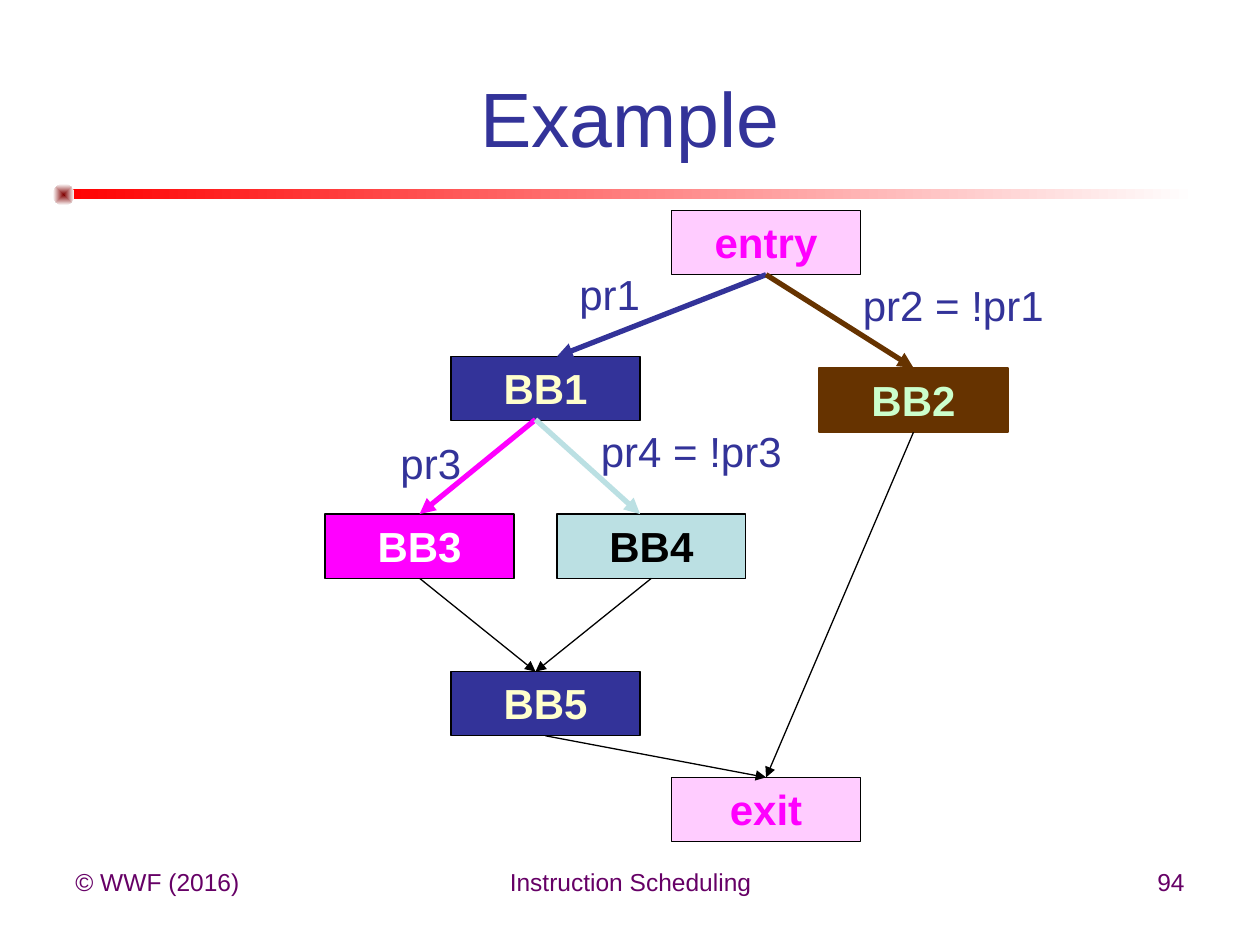
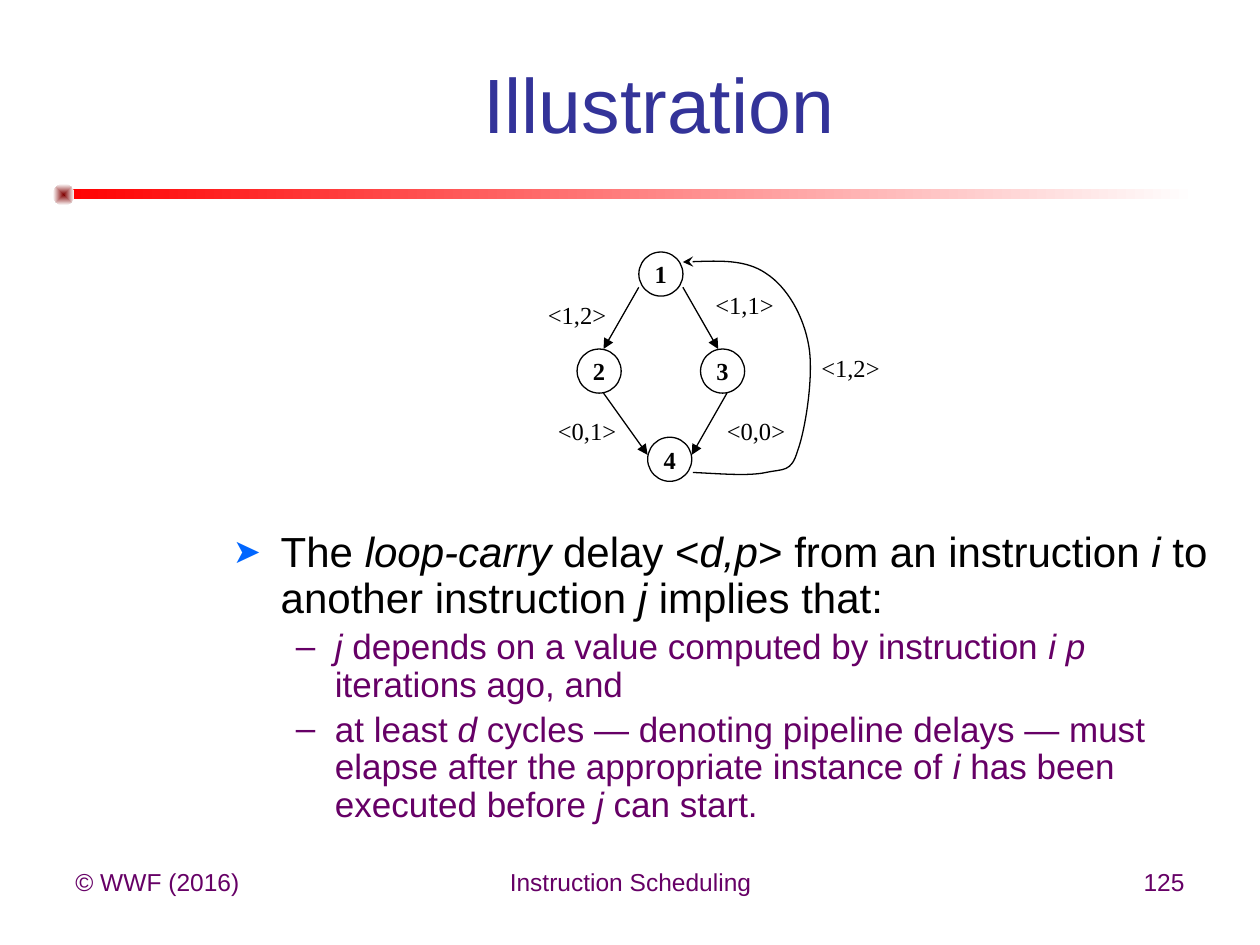
from lxml import etree
from pptx import Presentation
from pptx.dml.color import RGBColor
from pptx.enum.shapes import MSO_CONNECTOR, MSO_SHAPE
from pptx.enum.text import MSO_ANCHOR, PP_ALIGN
from pptx.oxml.ns import qn
from pptx.util import Inches, Pt

LEFT, CENTER, RIGHT = PP_ALIGN.LEFT, PP_ALIGN.CENTER, PP_ALIGN.RIGHT
TOP, MIDDLE = MSO_ANCHOR.TOP, MSO_ANCHOR.MIDDLE
RECT, OVAL = MSO_SHAPE.RECTANGLE, MSO_SHAPE.OVAL
STRAIGHT = MSO_CONNECTOR.STRAIGHT
SANS, SERIF = "Arial", "Times New Roman"
BLACK, WHITE, RED, MAROON = "000000", "FFFFFF", "FF0000", "800000"
NAVY, PLUM, BROWN, PINK = "333399", "660066", "663300", "FF00FF"
ROSE, CREAM, MINT, AQUA, BLUE = "FFCCFF", "FFFFCC", "CCFFCC", "BBE0E3", "0066FF"


def color(code):
    return RGBColor.from_string(code)


def add_tag(parent, tag, **attrs):
    return etree.SubElement(parent, qn(tag), **attrs)


class Deck:
    def __init__(self):
        self.file = Presentation()
        self.file.slide_width, self.file.slide_height = Inches(10), Inches(7.5)
        self.slide = None

    def page(self, title, number, place):
        self.slide = self.file.slides.add_slide(self.file.slide_layouts[6])
        self.fade(RECT, (0.5, 1.5, 9, 0.08), RED)
        self.fade(OVAL, (0.42, 1.46, 0.17, 0.17), MAROON, True)
        for text, left, width, align in (
            ("© WWF (2016)", 0.5, 2.33, LEFT),
            ("Instruction Scheduling", 3.42, 3.17, CENTER),
            (number, 7.17, 2.33, RIGHT),
        ):
            self.text(text, (left, 6.83, width, 0.52), 14, PLUM, align=align)
        self.text(title, place, 44, NAVY, align=CENTER, anchor=MIDDLE)

    def font(self, par, size, ink, face=SANS, bold=False):
        par.font.size, par.font.name, par.font.bold = Pt(size), face, bold
        par.font.color.rgb = color(ink)

    def label(self, shape, text, size, ink, face=SANS, bold=False,
              align=LEFT, anchor=TOP, wrap=True):
        frame = shape.text_frame
        frame.word_wrap, frame.vertical_anchor = wrap, anchor
        par = frame.paragraphs[0]
        par.text, par.alignment = text, align
        self.font(par, size, ink, face, bold)

    def text(self, text, place, size, ink, **style):
        box = self.slide.shapes.add_textbox(*map(Inches, place))
        self.label(box, text, size, ink, **style)

    def shape(self, kind, place):
        shape = self.slide.shapes.add_shape(kind, *map(Inches, place))
        shape.shadow.inherit = False
        return shape

    def fade(self, kind, place, start, round_out=False):
        shape = self.shape(kind, place)
        shape.line.fill.background()
        shape.fill.gradient()
        shape.fill.gradient_angle = 0
        for stop, code in zip(shape.fill.gradient_stops, (start, WHITE)):
            stop.color.rgb = color(code)
        if round_out:
            lin = shape.element.spPr.find(".//" + qn("a:lin"))
            grad = lin.getparent()
            grad.remove(lin)
            route = add_tag(grad, "a:path", path="shape")
            add_tag(route, "a:fillToRect", l="50000", t="50000", r="50000", b="50000")

    def node(self, kind, text, place, fill, edge, size, ink, **style):
        shape = self.shape(kind, place)
        shape.fill.solid()
        shape.fill.fore_color.rgb = color(fill)
        self.stroke(shape, edge, 0.75)
        self.label(shape, text, size, ink, bold=True, align=CENTER, **style)
        return shape

    def stroke(self, shape, ink, width, head=None):
        shape.line.color.rgb = color(ink)
        shape.line.width = Pt(width)
        if head:
            add_tag(shape.element.spPr.find(qn("a:ln")), "a:tailEnd", type=head)

    def arrow(self, start, end, ink=BLACK, width=0.75, first=None, last=None):
        line = self.slide.shapes.add_connector(STRAIGHT, *map(Inches, start + end))
        self.stroke(line, ink, width, "triangle")
        add_tag(line.element.spPr, "a:effectLst")
        if first is not None:
            line.begin_connect(first, 2)
        if last is not None:
            line.end_connect(last, 0)

    def curve(self, start, points, ink, head):
        pen = self.slide.shapes.build_freeform(*map(Inches, start))
        pen.add_line_segments([(Inches(x), Inches(y)) for x, y in points], close=False)
        shape = pen.convert_to_shape()
        shape.shadow.inherit = False
        shape.fill.background()
        self.stroke(shape, ink, 0.75, head)
        steps = shape.element.xpath(".//a:lnTo")
        for i in range(0, len(steps), 3):
            bend = etree.Element(qn("a:cubicBezTo"))
            steps[i].addprevious(bend)
            for step in steps[i:i + 3]:
                bend.append(step[0])
                step.getparent().remove(step)

    def bullets(self, place, items):
        frame = self.slide.shapes.add_textbox(*map(Inches, place)).text_frame
        frame.word_wrap = True
        for i, (level, parts) in enumerate(items):
            par = frame.paragraphs[0] if i == 0 else frame.add_paragraph()
            mark, left, hang, size, ink = (
                ("➤", 0.38, 0.38, 24, BLACK), ("–", 0.81, 0.31, 20, PLUM))[level]
            par.level, par.line_spacing = level, 0.9
            if i:
                par.space_before = Pt(size * 0.2)
            props = par._p.get_or_add_pPr()
            props.set("marL", str(Inches(left)))
            props.set("indent", str(-Inches(hang)))
            if level == 0:
                add_tag(add_tag(props, "a:buClr"), "a:srgbClr", val=BLUE)
                add_tag(props, "a:buSzPct", val="80000")
            add_tag(props, "a:buFont", typeface=SANS)
            add_tag(props, "a:buChar", char=mark)
            self.font(par, size, ink)
            for j, part in enumerate(parts):
                if part:
                    run = par.add_run()
                    run.text, run.font.italic = part, j % 2 == 1


def example(deck):
    deck.page("Example", "94", (0.5, 0.3, 9, 1.25))
    blocks = {}
    for name, left, top, fill, edge, ink in (
        ("entry", 5.33, 1.67, ROSE, BLACK, PINK),
        ("BB1", 3.58, 2.83, NAVY, BLACK, CREAM),
        ("BB2", 6.5, 2.92, BROWN, BROWN, MINT),
        ("exit", 5.33, 6.17, ROSE, BLACK, PINK),
        ("BB3", 2.58, 4.08, PINK, BLACK, WHITE),
        ("BB4", 4.42, 4.08, AQUA, BLACK, BLACK),
        ("BB5", 3.58, 5.33, NAVY, BLACK, CREAM),
    ):
        blocks[name] = deck.node(RECT, name, (left, top, 1.5, 0.51), fill, edge, 24, ink)
    for start, end, ink, width, first, last in (
        ((6.08, 2.17), (4.42, 2.83), NAVY, 3, "entry", None),
        ((6.08, 2.17), (7.25, 2.92), BROWN, 3, "entry", "BB2"),
        ((7.25, 3.42), (6.08, 6.17), BLACK, 0.75, "BB2", "exit"),
        ((4.33, 5.83), (6.08, 6.17), BLACK, 0.75, "BB5", "exit"),
        ((4.25, 3.33), (3.33, 4.08), PINK, 3, None, "BB3"),
        ((4.25, 3.33), (5.08, 4.08), AQUA, 3, None, None),
        ((3.33, 4.58), (4.25, 5.33), BLACK, 0.75, "BB3", None),
        ((5.17, 4.58), (4.25, 5.33), BLACK, 0.75, "BB4", None),
    ):
        deck.arrow(start, end, ink, width, blocks.get(first), blocks.get(last))
    for text, left, top, width in (
        ("pr1", 4.5, 2.08, 0.68),
        ("pr2 = !pr1", 6.75, 2.17, 1.64),
        ("pr3", 3.08, 3.42, 0.68),
        ("pr4 = !pr3", 4.67, 3.33, 1.64),
    ):
        deck.text(text, (left, top, width, 0.5), 24, NAVY, wrap=False)


def loop(deck):
    deck.page("Illustration", "125", (1.16, 0.55, 8.14, 0.53))
    deck.bullets((1.75, 4.17, 8, 2.84), (
        (0, ("The ", "loop-carry", " delay <", "d,p", "> from an instruction ", "i ",
             "to another instruction", " j", " implies that:")),
        (1, ("", "j", " depends on a value computed by instruction ", "i p",
             " iterations ago, and")),
        (1, ("at least ", "d", " cycles — denoting pipeline delays — must elapse "
             "after the appropriate instance of ", "i",
             " has been executed before ", "j ", "can start.")),
    ))
    for text, left, top in (
        ("1", 5.07, 2), ("2", 4.58, 2.77), ("3", 5.56, 2.77), ("4", 5.14, 3.47),
    ):
        deck.node(OVAL, text, (left, top, 0.35, 0.35), WHITE, BLACK, 14, BLACK,
                  face=SERIF, anchor=MIDDLE, wrap=False)
    for start, end in (
        ((5.07, 2.28), (4.79, 2.77)), ((5.42, 2.28), (5.7, 2.77)),
        ((5.77, 3.12), (5.49, 3.61)), ((4.79, 3.12), (5.14, 3.61)),
    ):
        deck.arrow(start, end)
    for text, left, top in (
        ("<1,1>", 5.58, 2.25), ("<0,0>", 5.67, 3.25), ("<1,2>", 6.42, 2.75),
        ("<0,1>", 4.33, 3.25), ("<1,2>", 4.25, 2.33),
    ):
        deck.text(text, (left, top, 1, 0.33), 14, BLACK, face=SERIF)
    deck.curve((5.5, 3.75), (
        (5.72, 3.76), (5.94, 3.78), (6.08, 3.75),
        (6.22, 3.72), (6.28, 3.75), (6.33, 3.58),
        (6.39, 3.42), (6.46, 2.99), (6.42, 2.75),
        (6.38, 2.51), (6.25, 2.28), (6.08, 2.17),
        (5.92, 2.06), (5.67, 2.07), (5.42, 2.08),
    ), BLACK, "stealth")


def main():
    deck = Deck()
    example(deck)
    loop(deck)
    deck.file.save("out.pptx")


if __name__ == "__main__":
    main()
